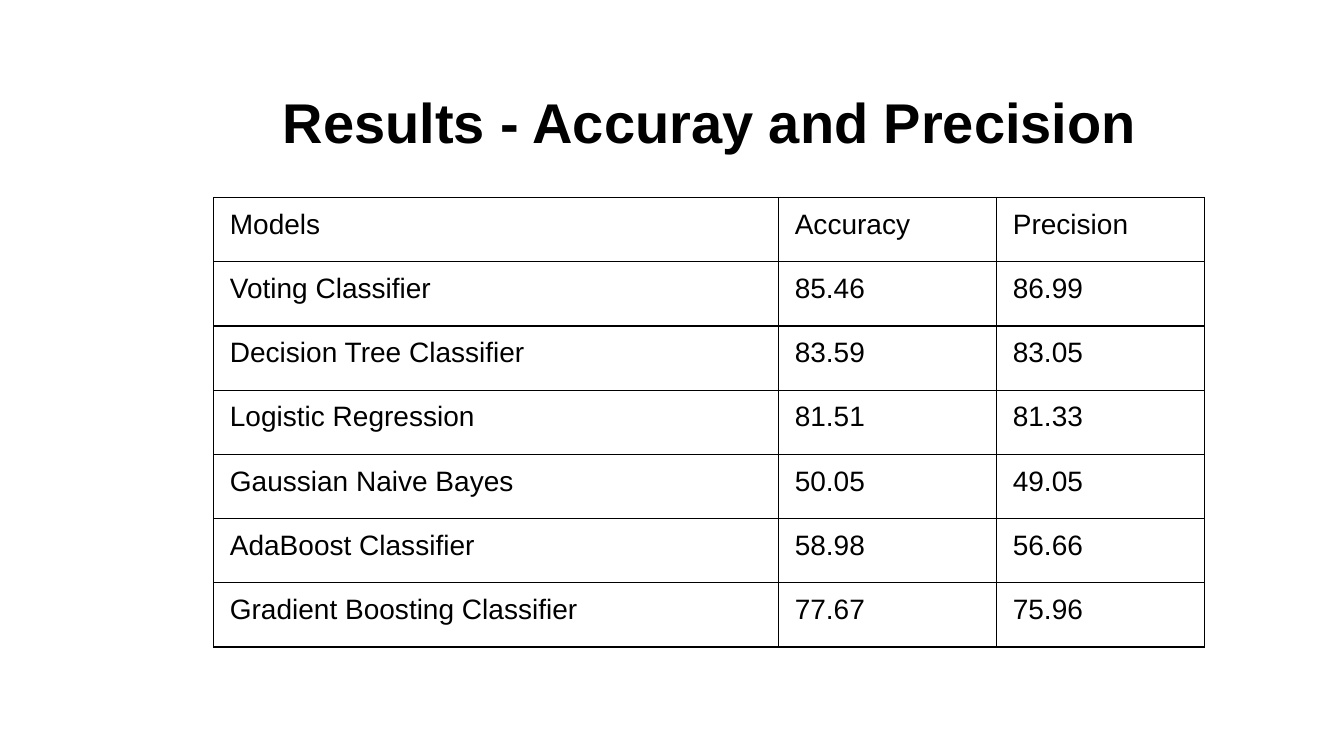
from dataclasses import dataclass
from typing import Any

from lxml.etree import SubElement
from pptx import Presentation
from pptx.dml.color import RGBColor
from pptx.enum.text import MSO_ANCHOR, PP_ALIGN
from pptx.oxml.ns import qn
from pptx.util import Inches, Pt

SLIDE_WIDTH, SLIDE_HEIGHT = Inches(13.33), Inches(7.5)
LEFT, WIDTH = Inches(2.12), Inches(9.83)
ROW_HEIGHT = Inches(4.46 / 7)
COLUMN_SHARES = (0.57, 0.22, 0.21)
BLACK = "000000"
TITLE_FONT = {"name": "Arial", "size": Pt(40), "bold": True}
CELL_FONT = {"name": "Arial", "size": Pt(20), "bold": False}
TITLE_BOX = {"left": LEFT, "top": Inches(0.69), "width": WIDTH, "height": Inches(0.89)}
TITLE_FRAME = {"vertical_anchor": MSO_ANCHOR.BOTTOM, "word_wrap": True}
CELL_FORMAT = {f"margin_{side}": Inches(0.07) for side in ("left", "top", "right", "bottom")}
TABLE_FORMAT = {"first_row": False, "horz_banding": False}


@dataclass(frozen=True)
class ModelResult:
    model: str
    accuracy: str
    precision: str

    def texts(self) -> tuple[str, str, str]:
        return self.model, self.accuracy, self.precision


RESULTS = (
    ModelResult("Models", "Accuracy", "Precision"),
    ModelResult("Voting Classifier", "85.46", "86.99"),
    ModelResult("Decision Tree Classifier", "83.59", "83.05"),
    ModelResult("Logistic Regression", "81.51", "81.33"),
    ModelResult("Gaussian Naive Bayes", "50.05", "49.05"),
    ModelResult("AdaBoost Classifier", "58.98", "56.66"),
    ModelResult("Gradient Boosting Classifier", "77.67", "75.96"),
)


def color(value: str) -> RGBColor:
    return RGBColor.from_string(value)


def apply_format(target: Any, values: dict[str, Any]) -> None:
    for name, value in values.items():
        setattr(target, name, value)


def write_text(paragraph: Any, text: str, font: dict[str, Any]) -> None:
    run = paragraph.add_run()
    run.text = text
    apply_format(run.font, font)
    run.font.color.rgb = color(BLACK)


def draw_borders(cell: Any) -> None:
    properties = cell._tc.get_or_add_tcPr()
    for side in ("lnL", "lnR", "lnT", "lnB"):
        line = SubElement(properties, qn(f"a:{side}"), w=str(Pt(1)))
        fill = SubElement(line, qn("a:solidFill"))
        SubElement(fill, qn("a:srgbClr"), val=BLACK)


def draw_cell(cell: Any, text: str) -> None:
    apply_format(cell, CELL_FORMAT)
    draw_borders(cell)
    cell.fill.background()
    paragraph = cell.text_frame.paragraphs[0]
    paragraph.line_spacing = 1.14
    paragraph._p.get_or_add_pPr().set("marL", str(Inches(0.09)))
    write_text(paragraph, text, CELL_FONT)


def draw_title(slide: Any, text: str) -> None:
    title = slide.shapes.title
    apply_format(title, TITLE_BOX)
    apply_format(title.text_frame, TITLE_FRAME)
    paragraph = title.text_frame.paragraphs[0]
    paragraph.alignment = PP_ALIGN.CENTER
    write_text(paragraph, text, TITLE_FONT)


def draw_results(slide: Any, results: tuple[ModelResult, ...]) -> None:
    frame = slide.shapes.add_table(
        len(results), len(COLUMN_SHARES), LEFT, Inches(1.96), WIDTH, ROW_HEIGHT * len(results)
    )
    table = frame.table
    apply_format(table, TABLE_FORMAT)
    for column, share in zip(table.columns, COLUMN_SHARES):
        column.width = int(WIDTH * share)
    for row, result in zip(table.rows, results):
        row.height = ROW_HEIGHT
        for cell, text in zip(row.cells, result.texts()):
            draw_cell(cell, text)


def main() -> None:
    presentation = Presentation()
    apply_format(presentation, {"slide_width": SLIDE_WIDTH, "slide_height": SLIDE_HEIGHT})
    slide = presentation.slides.add_slide(presentation.slide_layouts.get_by_name("Title Only"))
    draw_title(slide, "Results - Accuray and Precision")
    draw_results(slide, RESULTS)
    presentation.save("out.pptx")


if __name__ == "__main__":
    main()
